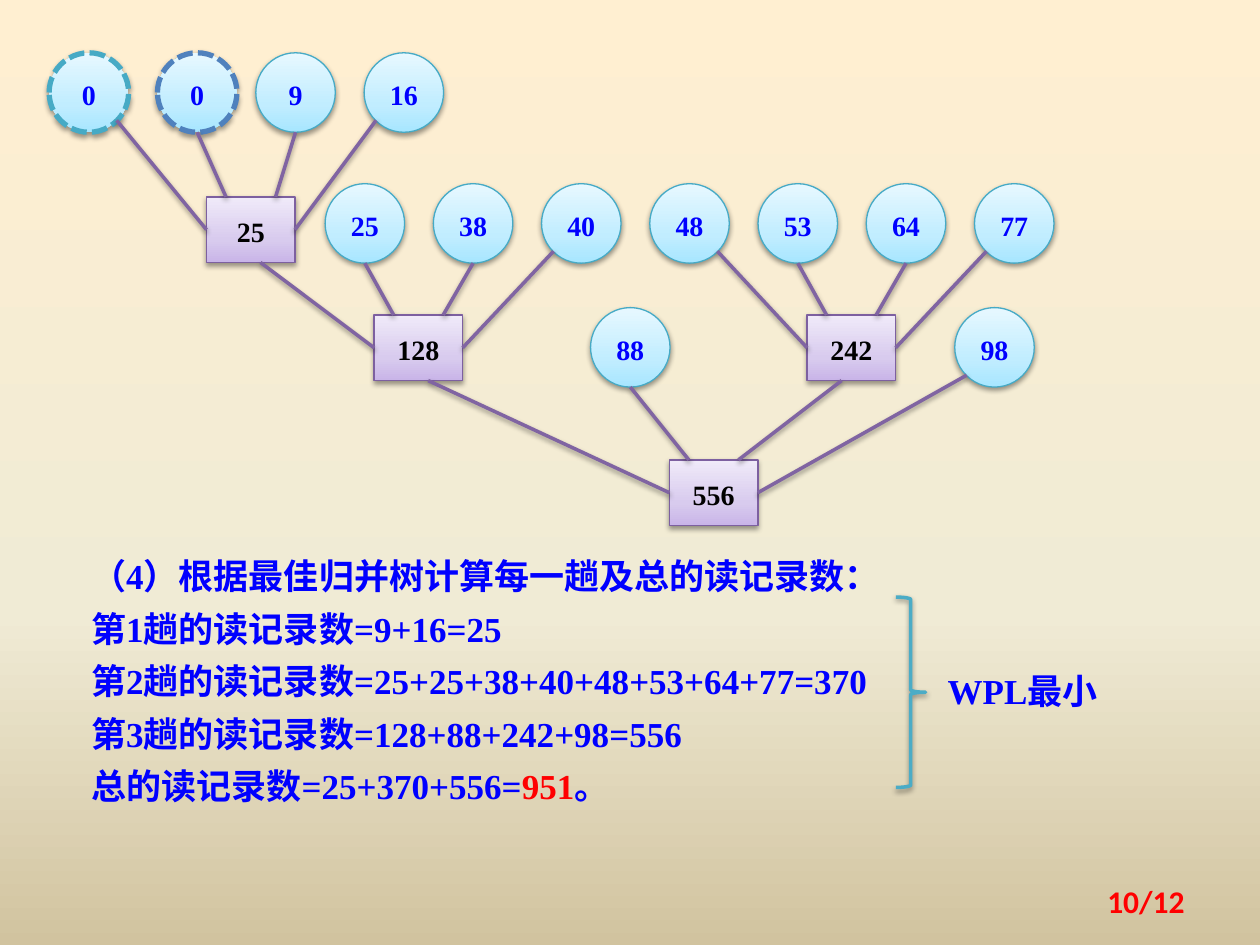
from copy import deepcopy
from pptx import Presentation
from pptx.dml.color import RGBColor
from pptx.enum.dml import MSO_LINE as Dash
from pptx.enum.shapes import MSO_CONNECTOR as Link, MSO_SHAPE as Kind
from pptx.enum.text import MSO_ANCHOR as Anchor, PP_ALIGN as Align
from pptx.oxml import parse_xml
from pptx.util import Pt

hue = RGBColor.from_string
NS = 'xmlns:a="http://schemas.openxmlformats.org/drawingml/2006/main"'
SHADE = (f'<a:effectLst {NS}><a:outerShdw blurRad="39370" dist="20320" '
         'dir="5400000" rotWithShape="0"><a:srgbClr val="000000">'
         '<a:alpha val="38000"/></a:srgbClr></a:outerShdw></a:effectLst>')
GAP = f'<a:spcBef {NS}><a:spcPct val="50000"/></a:spcBef>'
SERIF, BLUE, RED = "Times New Roman", "0000FF", "FF0000"


def blend(fill, root, angle, stops):
    """Give a fill a three-stop gradient; root is its XML element."""
    fill.gradient()
    fill.gradient_angle = angle
    group = root.find(".//{*}gsLst")
    group.append(deepcopy(group[0]))
    for stop, (place, color) in zip(fill.gradient_stops, stops):
        stop.position = place
        stop.color.rgb = hue(color)


def write(para, text, size, color, font=SERIF):
    """Add one bold run to a paragraph."""
    run = para.add_run()
    run.text = text
    run.font.size, run.font.bold, run.font.name = Pt(size), True, font
    run.font.color.rgb = hue(color)


deck = Presentation()
deck.slide_width, deck.slide_height = Pt(720), Pt(540)
slide = deck.slides.add_slide(deck.slide_layouts[6])
blend(slide.background.fill, slide.element, 270,
      [(0, "FFEFD1"), (0.65, "F0EBD5"), (1, "D1C39F")])

# Nodes: label, left, top
leaves = [("0", 28.1, 30.2), ("0", 90, 30.2), ("9", 146.2, 30.2), ("16", 208.1, 30.2)]
row = ["25", "38", "40", "48", "53", "64", "77"]
leaves += [(label, 185.8 + 61.85 * i, 105) for i, label in enumerate(row)]
leaves += [("88", 337.5, 175.8), ("98", 545.6, 175.8)]
sums = [("25", 118, 112.5), ("128", 213.8, 180), ("242", 461.2, 180), ("556", 382.5, 262.8)]
nodes = leaves + sums
dashed = {0: "46AAC5", 1: "4F81BD"}
looks = {
    "leaf": (Kind.OVAL, 45.4, 45.4, "46AAC5", BLUE,
             [(0, "A7E6FF"), (0.35, "C1EDFF"), (1, "E7F8FF")]),
    "sum": (Kind.RECTANGLE, 50.6, 37.5, "7D60A0", "000000",
            [(0, "C9B5E8"), (0.35, "D8CBEE"), (1, "F0EAF9")]),
}

tree = slide.shapes.add_group_shape().shapes
for i, (label, x, y) in enumerate(nodes):
    kind, wide, high, edge, ink, stops = looks["leaf" if i < len(leaves) else "sum"]
    node = tree.add_shape(kind, Pt(x), Pt(y), Pt(wide), Pt(high))
    blend(node.fill, node.element, 90, stops)
    node.line.color.rgb = hue(dashed.get(i, edge))
    node.line.width = Pt(3 if i in dashed else 0.75)
    if i in dashed:
        node.line.dash_style = Dash.SQUARE_DOT
    node.element.spPr.append(parse_xml(SHADE))
    frame = node.text_frame
    frame.margin_left = frame.margin_right = 0
    frame.vertical_anchor = Anchor.MIDDLE
    para = frame.paragraphs[0]
    para.alignment, para.line_spacing = Align.CENTER, 1.1
    para._p.get_or_add_pPr().append(parse_xml(GAP))
    write(para, label, 16, ink)

# Children of each sum, left to right; ports are fractions of a node's size
merges = {13: [0, 1, 2, 3], 14: [13, 4, 5, 6], 15: [7, 8, 9, 10], 16: [14, 11, 15, 12]}
exits = {"leaf": [(0.85, 0.85), (0.5, 1), (0.5, 1), (0.15, 0.85)],
         "sum": [(0.61, 1), None, (0.39, 1), None]}
entries = [(0, 0.5), (0.22, 0), (0.78, 0), (1, 0.5)]
for parent, kids in merges.items():
    for slot, kid in enumerate(kids):
        role = "leaf" if kid < len(leaves) else "sum"
        ends = []
        for i, style, port in ((kid, role, exits[role][slot]), (parent, "sum", entries[slot])):
            wide, high = looks[style][1:3]
            ends += [Pt(nodes[i][1] + port[0] * wide), Pt(nodes[i][2] + port[1] * high)]
        line = tree.add_connector(Link.STRAIGHT, *ends)
        line.line.color.rgb, line.line.width = hue("8064A2"), Pt(2)
        line._element.spPr.append(parse_xml(SHADE))

note = slide.shapes
brace = note.add_shape(Kind.RIGHT_BRACE, Pt(512), Pt(341.2), Pt(16.9), Pt(108.8))
brace.fill.background()
brace.line.color.rgb, brace.line.width = hue("4BACC6"), Pt(2)
brace.element.spPr.append(parse_xml(SHADE))

steps = [
    [("（4）根据最佳归并树计算每一趟及总的读记录数：", BLUE)],
    [("第1趟的读记录数=9+16=25", BLUE)],
    [("第2趟的读记录数=25+25+38+40+48+53+64+77=370", BLUE)],
    [("第3趟的读记录数=128+88+242+98=556", BLUE)],
    [("总的读记录数=25+370+556=", BLUE), ("951", RED), ("。", BLUE)],
]
texts = [((45, 307.5, 489.4, 158.4), steps),
         ((534.4, 373, 135, 37.2), [[("WPL最小", BLUE)]])]
for place, paras in texts:
    frame = note.add_textbox(*map(Pt, place)).text_frame
    frame.word_wrap = True
    for i, runs in enumerate(paras):
        para = frame.add_paragraph() if i else frame.paragraphs[0]
        para.line_spacing = Pt(30)
        for text, color in runs:
            write(para, text, 20, color)

frame = note.add_textbox(Pt(516), Pt(500.5), Pt(168), Pt(28.8)).text_frame
frame.word_wrap, frame.vertical_anchor = True, Anchor.MIDDLE
para = frame.paragraphs[0]
para.alignment = Align.RIGHT
write(para, "10/12", 18, RED, "Calibri")

deck.save("out.pptx")
